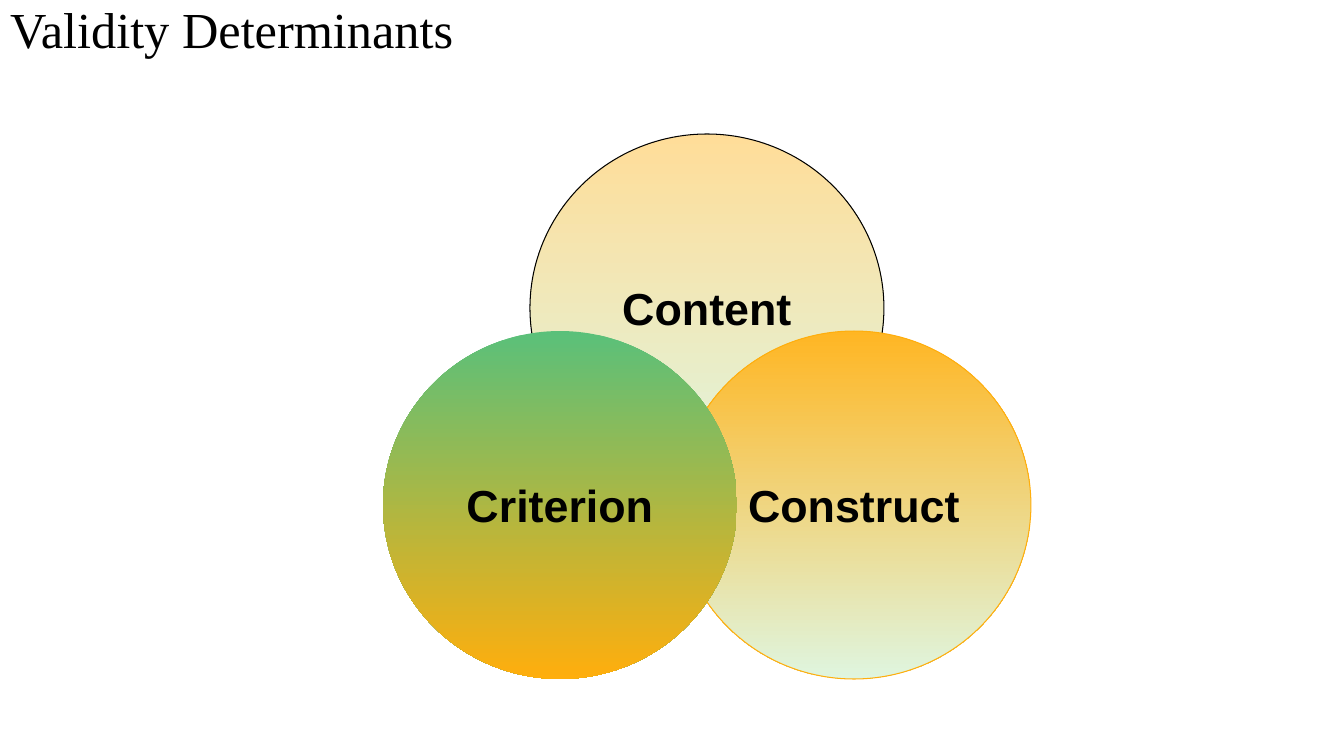
import pptx
import pptx.util
import pptx.dml.color
import pptx.enum.shapes
import pptx.enum.text

RGBColor = pptx.dml.color.RGBColor
Pt = pptx.util.Pt

BLACK = RGBColor(0x00, 0x00, 0x00)
PEACH = RGBColor(0xFF, 0xDD, 0x99)
MINT = RGBColor(0xDF, 0xF5, 0xDF)
AMBER = RGBColor(0xFF, 0xB6, 0x23)
ORANGE = RGBColor(0xFF, 0xAE, 0x0D)
GREEN = RGBColor(0x5A, 0xC0, 0x7A)

PX_PER_INCH = 100.8
CIRCLE_WIDTH, CIRCLE_HEIGHT = 354, 348
CENTRE_X = 707      # axis of the three circles
SIDE_OFFSET = 147   # lower circles, left and right of the axis
UPPER_TOP, LOWER_TOP = 134, 331

TITLE_FONT = {"name": "Times New Roman", "size": Pt(36), "bold": False}
LABEL_FONT = {"name": "Arial", "size": Pt(32), "bold": True}

# Label, centre x, top, upper colour, lower colour, outline; back to front
CIRCLES = [
    ("Content", CENTRE_X, UPPER_TOP, PEACH, MINT, BLACK),
    ("Construct", CENTRE_X + SIDE_OFFSET, LOWER_TOP, AMBER, MINT, ORANGE),
    ("Criterion", CENTRE_X - SIDE_OFFSET, LOWER_TOP, GREEN, ORANGE, None),
]


def px(length):
    return pptx.util.Inches(length / PX_PER_INCH)


def write_text(frame, text, font_format, align):
    para = frame.paragraphs[0]
    para.alignment = align
    span = para.add_run()
    span.text = text
    for name, value in font_format.items():
        setattr(span.font, name, value)
    span.font.color.rgb = BLACK
    return para


def set_title(page, text):
    title = page.shapes.title
    title.left, title.top, title.width, title.height = px(0), px(0), px(1159), px(146)
    frame = title.text_frame
    frame.word_wrap = True
    frame.auto_size = pptx.enum.text.MSO_AUTO_SIZE.NONE
    frame.vertical_anchor = pptx.enum.text.MSO_ANCHOR.TOP
    para = write_text(frame, text, TITLE_FONT, pptx.enum.text.PP_ALIGN.LEFT)
    para.line_spacing = 0.9


def add_circle(page, label, centre_x, top, upper, lower, outline):
    circle = page.shapes.add_shape(
        pptx.enum.shapes.MSO_SHAPE.OVAL,
        px(centre_x - CIRCLE_WIDTH // 2), px(top), px(CIRCLE_WIDTH), px(CIRCLE_HEIGHT))
    circle.shadow.inherit = False

    # Gradient from top to bottom
    circle.fill.gradient()
    circle.fill.gradient_angle = 270
    for stop, colour, position in zip(circle.fill.gradient_stops, (upper, lower), (0, 1)):
        stop.color.rgb = colour
        stop.position = position

    # Outline
    if outline is None:
        circle.line.fill.background()
    else:
        circle.line.color.rgb = outline
        circle.line.width = Pt(0.75)

    # Label
    frame = circle.text_frame
    frame.word_wrap = False
    frame.vertical_anchor = pptx.enum.text.MSO_ANCHOR.MIDDLE
    write_text(frame, label, LABEL_FONT, pptx.enum.text.PP_ALIGN.CENTER)


def main():
    deck = pptx.Presentation()
    deck.slide_width, deck.slide_height = px(1344), px(756)
    page = deck.slides.add_slide(deck.slide_layouts.get_by_name("Title Only"))
    set_title(page, "Validity Determinants")
    for circle in CIRCLES:
        add_circle(page, *circle)
    deck.save("out.pptx")


if __name__ == "__main__":
    main()
